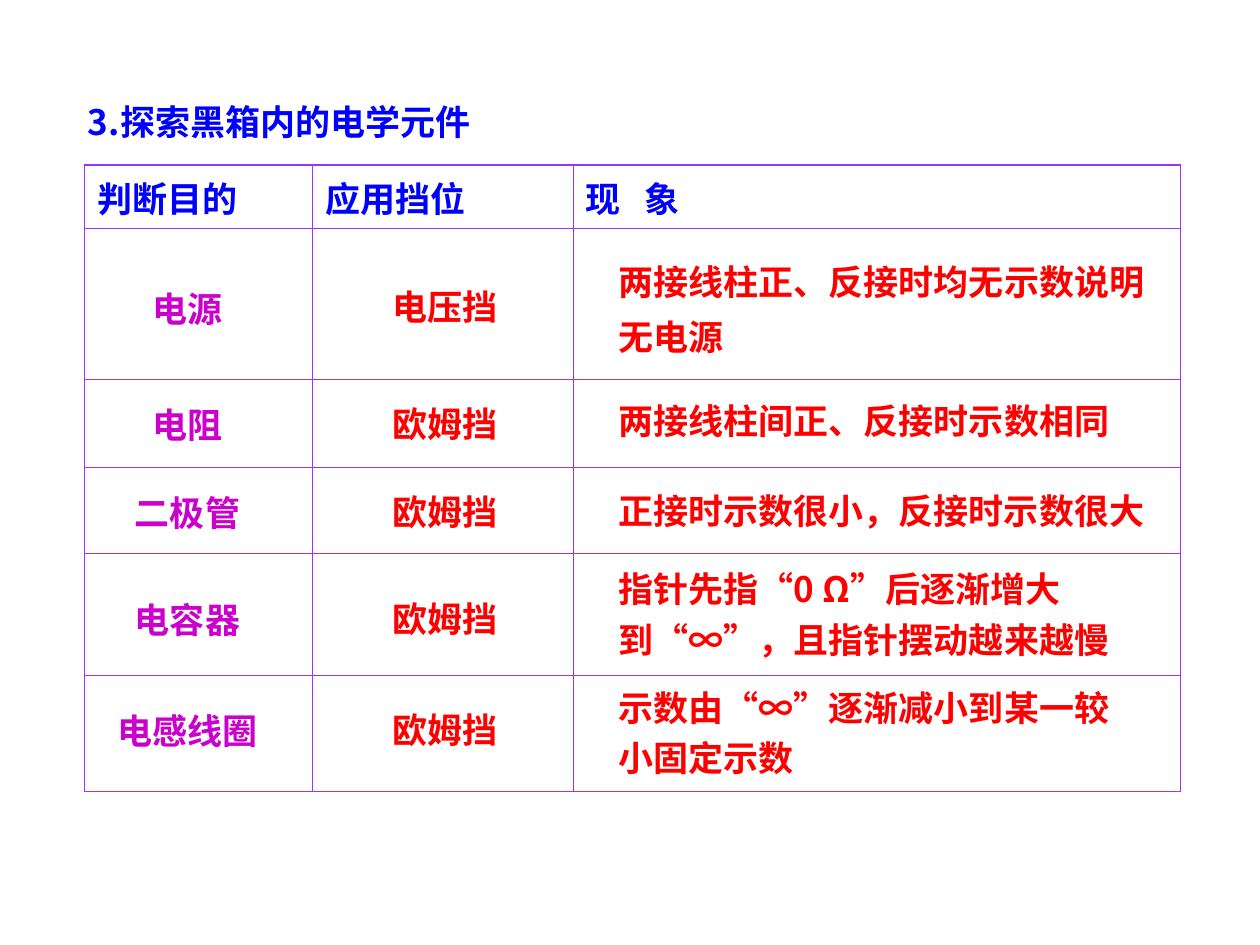
from pptx import Presentation
from pptx.dml.color import RGBColor
from pptx.enum.text import MSO_ANCHOR, MSO_AUTO_SIZE, PP_ALIGN
from pptx.oxml.ns import qn
from pptx.util import Inches, Pt
from lxml.etree import SubElement

FONT, SIZE = "Noto Sans CJK SC", 20
COLORS = {"heading": "0000FF", "purpose": "CC00CC", "answer": "FF0000", "border": "9933FF"}

TITLE = "3.探索黑箱内的电学元件"
HEADERS = ["判断目的", "应用挡位", "现   象"]
# Purpose and its centre; range, its centre and line spacing;
# phenomenon, its centre, width, number of lines and line spacing
TESTS = [
    (("电源 ", 2.45), ("电压挡", 2.43, 1.0),
     ("两接线柱正、反接时均无示数说明无电源", 2.4, 4.42, 2, 1.3)),
    (("电阻 ", 3.37), ("欧姆挡", 3.31, 1.3),
     ("两接线柱间正、反接时示数相同", 3.24, 4.59, 1, 1.6)),
    (("二极管 ", 4.07), ("欧姆挡", 4.01, 1.3),
     ("正接时示数很小，反接时示数很大", 3.95, 4.56, 1, 1.6)),
    (("电容器 ", 4.92), ("欧姆挡", 4.86, 1.3),
     ("指针先指“0 Ω”后逐渐增大到“∞”，且指针摆动越来越慢", 4.84, 4.39, 2, 1.2)),
    (("电感线圈 ", 5.8), ("欧姆挡", 5.74, 1.3),
     ("示数由“∞”逐渐减小到某一较小固定示数", 5.78, 4.35, 2, 1.2)),
]
COLUMN_WIDTHS = [1.81, 2.07, 4.82]
ROW_HEIGHTS = [0.5, 1.2, 0.7, 0.68, 0.97, 0.92]
PURPOSE_LEFT, RANGE_LEFT, PHENOMENON_LEFT = 0.71, 3.02, 4.81
LINE_HEIGHT, PADDING = 0.34, 0.1
OUTER, INNER = 0.75, 0.45


def style(paragraph, color):
    font = paragraph.font
    font.name, font.size, font.bold = FONT, Pt(SIZE), True
    font.color.rgb = RGBColor.from_string(COLORS[color])
    properties = paragraph._p.pPr.find(qn("a:defRPr"))
    SubElement(properties, qn("a:ea")).set("typeface", FONT)


def add_text(slide, text, left, center, width, color, lines=1, spacing=1.0,
             align=PP_ALIGN.LEFT, anchor=MSO_ANCHOR.MIDDLE):
    height = PADDING + lines * LINE_HEIGHT * spacing
    box = slide.shapes.add_textbox(Inches(left), Inches(center - height / 2),
                                   Inches(width), Inches(height))
    frame = box.text_frame
    frame.word_wrap = True
    frame.auto_size = MSO_AUTO_SIZE.SHAPE_TO_FIT_TEXT
    frame.vertical_anchor = anchor
    paragraph = frame.paragraphs[0]
    paragraph.text = text
    paragraph.alignment = align
    paragraph.line_spacing = spacing
    style(paragraph, color)


def set_borders(cell, widths):
    properties = cell._tc.get_or_add_tcPr()
    for index, (side, width) in enumerate(widths.items()):
        line = properties.makeelement(qn(f"a:ln{side}"), {"w": str(Pt(width))})
        fill = SubElement(line, qn("a:solidFill"))
        SubElement(fill, qn("a:srgbClr")).set("val", COLORS["border"])
        properties.insert(index, line)


def add_grid(slide):
    last_row, last_column = len(ROW_HEIGHTS) - 1, len(COLUMN_WIDTHS) - 1
    grid = slide.shapes.add_table(
        len(ROW_HEIGHTS), len(COLUMN_WIDTHS), Inches(0.67), Inches(1.31),
        Inches(sum(COLUMN_WIDTHS)), Inches(sum(ROW_HEIGHTS))).table
    grid.first_row = grid.horz_banding = False
    for column, width in zip(grid.columns, COLUMN_WIDTHS):
        column.width = Inches(width)
    for r, height in enumerate(ROW_HEIGHTS):
        grid.rows[r].height = Inches(height)
        for c in range(len(COLUMN_WIDTHS)):
            cell = grid.cell(r, c)
            cell.fill.background()
            cell.vertical_anchor = MSO_ANCHOR.MIDDLE
            set_borders(cell, {
                "L": OUTER if c == 0 else INNER,
                "R": OUTER if c == last_column else INNER,
                "T": OUTER if r == 0 else INNER,
                "B": OUTER if r == last_row else INNER,
            })
    for c, header in enumerate(HEADERS):
        paragraph = grid.cell(0, c).text_frame.paragraphs[0]
        paragraph.text = header
        style(paragraph, "heading")


def main():
    prs = Presentation()
    prs.slide_width, prs.slide_height = Inches(10), Inches(7.5)
    slide = prs.slides.add_slide(prs.slide_layouts[6])

    # Title and ruled table
    add_text(slide, TITLE, 0.6, 0.92, 4.5, "heading", spacing=1.3, anchor=MSO_ANCHOR.TOP)
    add_grid(slide)

    # Entries over the table rows
    for purpose, meter_range, phenomenon in TESTS:
        text, center = purpose
        add_text(slide, text, PURPOSE_LEFT, center, 1.62, "purpose", align=PP_ALIGN.CENTER)
        text, center, spacing = meter_range
        add_text(slide, text, RANGE_LEFT, center, 1.84, "answer", spacing=spacing)
        text, center, width, lines, spacing = phenomenon
        add_text(slide, text, PHENOMENON_LEFT, center, width, "answer", lines, spacing)

    prs.save("out.pptx")


if __name__ == "__main__":
    main()
